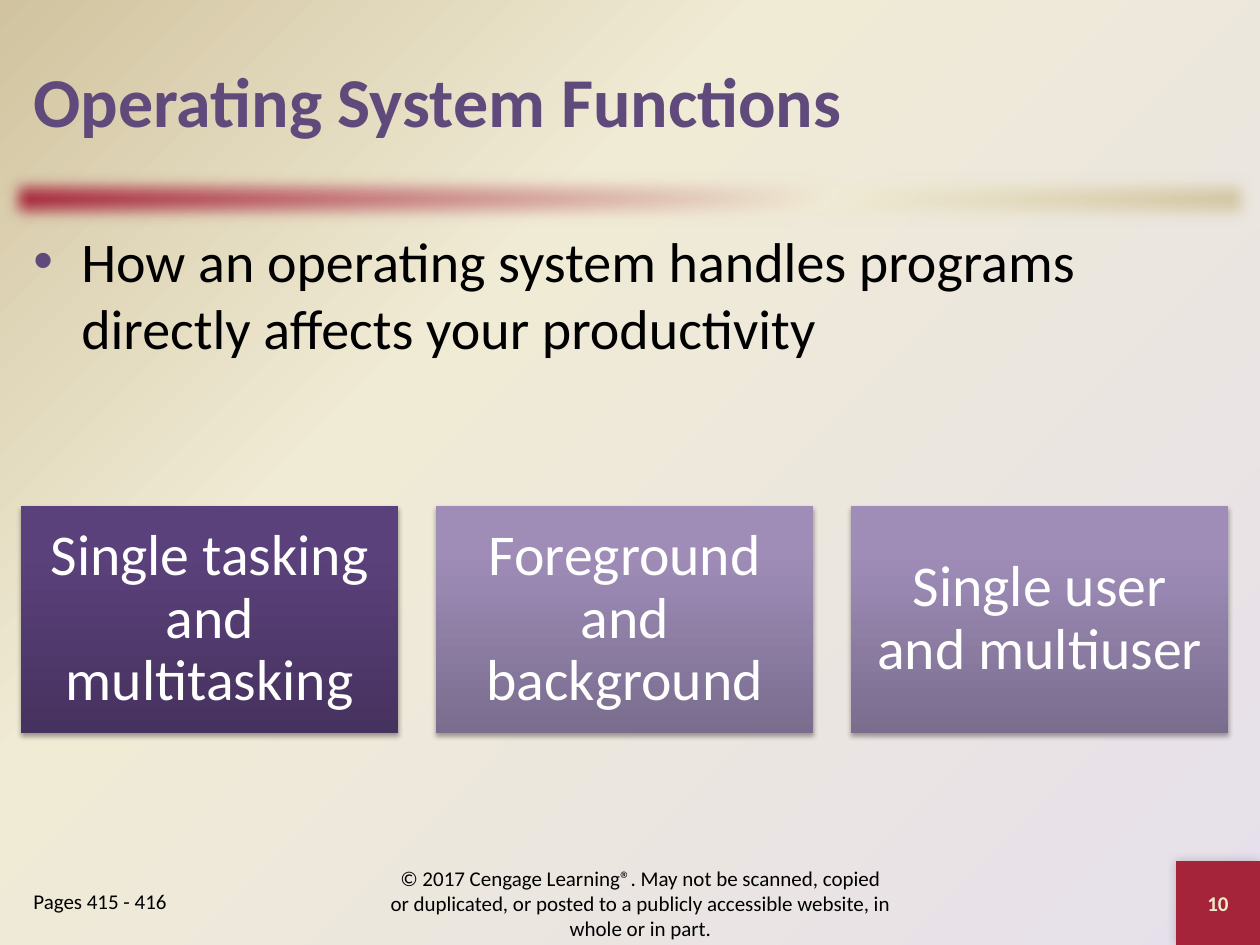
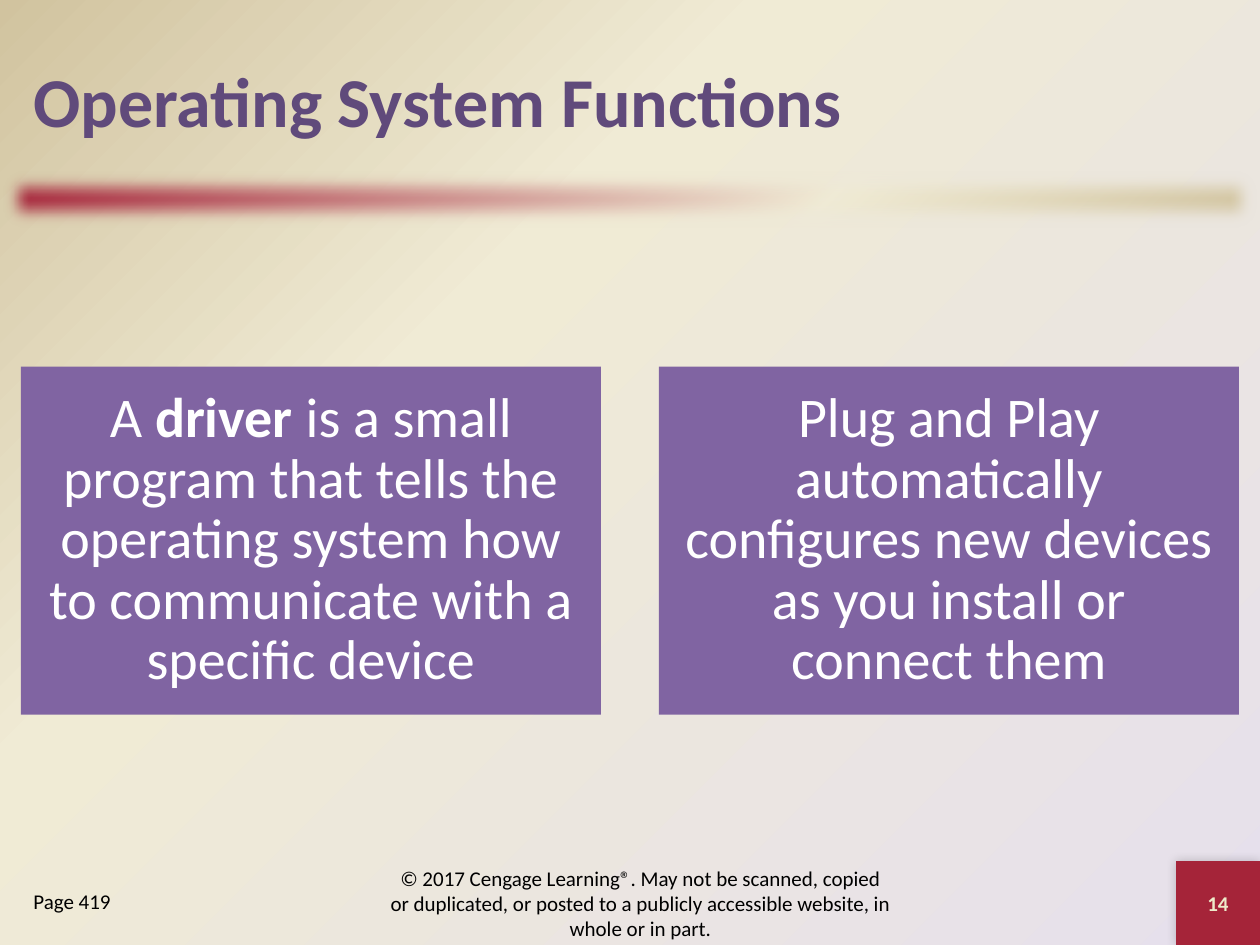
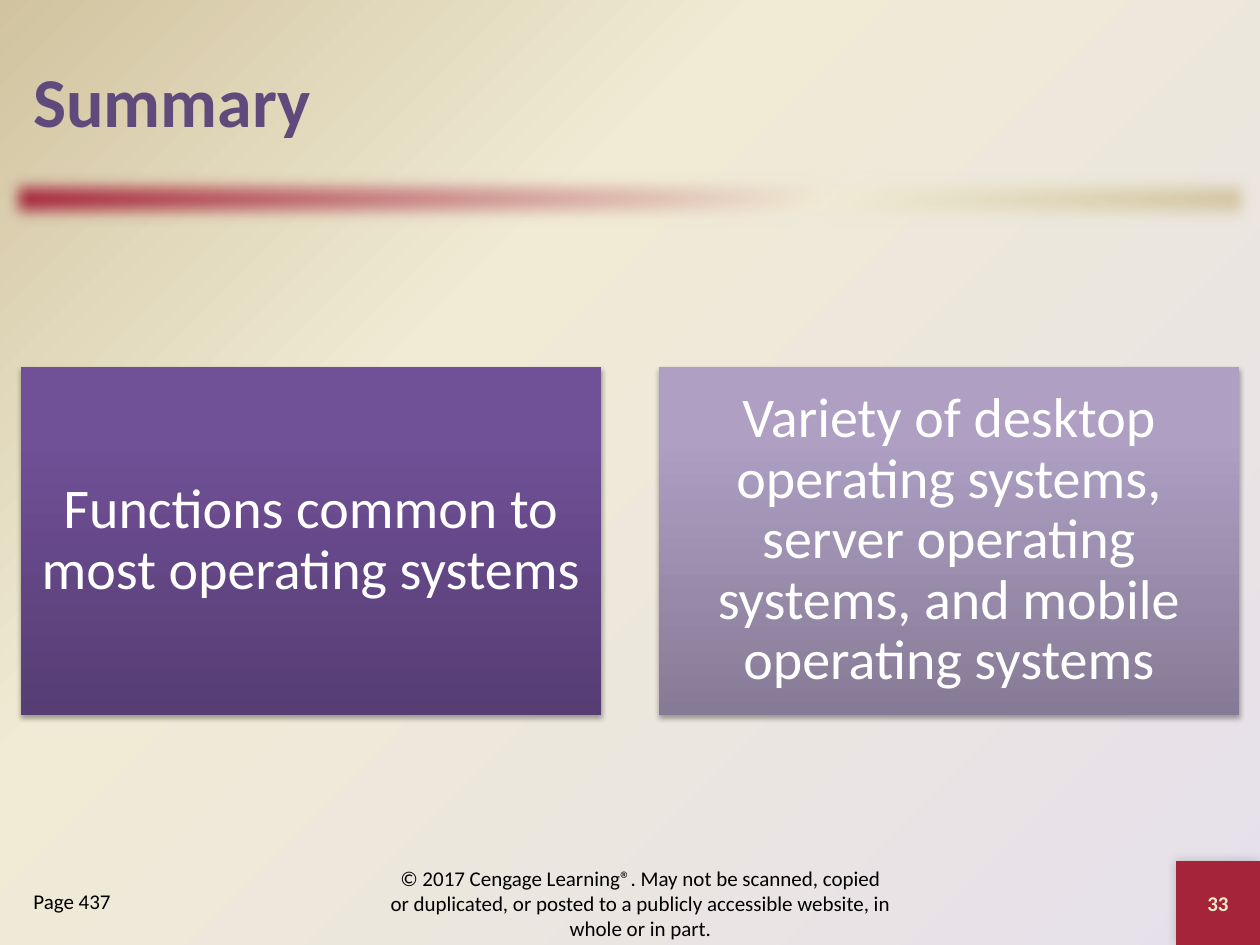
from collections import namedtuple

from lxml.etree import SubElement
from pptx import Presentation
from pptx.dml.color import RGBColor as RGB
from pptx.enum.shapes import MSO_SHAPE as SHAPE
from pptx.enum.text import MSO_ANCHOR as ANCHOR, PP_ALIGN as ALIGN
from pptx.oxml.ns import qn
from pptx.util import Inches, Pt

Box = namedtuple("Box", "x y w h")

COLS, ROWS = 60, 45
UNIT = Inches(10) / COLS
FONT = "Calibri"

BLACK = RGB(0x00, 0x00, 0x00)
WHITE = RGB(0xFF, 0xFF, 0xFF)
RED = RGB(0xA5, 0x24, 0x39)
CREAM = RGB(0xF0, 0xEB, 0xD5)
TAN = RGB(0xD1, 0xC3, 0x9F)
LILAC = RGB(0xE6, 0xE0, 0xEC)
PLUM = RGB(0x60, 0x4A, 0x7B)
VIOLET = RGB(0x80, 0x64, 0xA2)
NUMBER_INK = RGB(0xEE, 0xEB, 0xCA)

BAR_STOPS = (0, RED), (65, CREAM), (100, TAN)
PAGE_STOPS = (0, LILAC), (65, CREAM), (100, TAN)
DEEP = ((0, RGB(0x46, 0x32, 0x5F)), (80, RGB(0x5B, 0x41, 0x7B)),
        (100, RGB(0x5B, 0x40, 0x7C)))
SOFT = ((0, RGB(0x7A, 0x6D, 0x8E)), (80, RGB(0x9F, 0x8D, 0xB8)),
        (100, RGB(0x9F, 0x8D, 0xBA)))
BRIGHT = ((0, RGB(0x56, 0x3D, 0x74)), (80, RGB(0x70, 0x50, 0x97)),
          (100, RGB(0x70, 0x4F, 0x99)))
PALE = ((0, RGB(0x86, 0x7B, 0x96)), (80, RGB(0xAE, 0x9F, 0xC3)),
        (100, RGB(0xAE, 0x9F, 0xC4)))

TITLE = Box(1, 1, 58, 7.5)
BAR = Box(0, 8, COLS, 3)
BODY = Box(1, 10.5, 58, 30.5)
LOWER = Box(1, 22, 57.5, 15)
PAGES = Box(1, 42, 11, 3)
NOTICE = Box(18, 41.5, 25, 3)
NUMBER = Box(56, 41, 4, 4)

COPYRIGHT = ("© 2017 Cengage Learning®. May not be scanned, copied or duplicated, "
             "or posted to a publicly accessible website, in whole or in part.")


def emu(box):
    """Turn a box in grid units into slide lengths."""
    return [round(v * UNIT) for v in box]


def node(parent, tag, **attrs):
    """Add a drawing element with its attributes."""
    return SubElement(parent, qn("a:" + tag), {k: str(v) for k, v in attrs.items()})


def add_gradient(fill, root, stops, angle=None):
    """Fill with a linear gradient, or a corner one when no angle is given."""
    fill.background()
    grad = next(root.iter(qn("a:noFill")))
    grad.tag = qn("a:gradFill")
    grad.set("rotWithShape", "1")
    stop_list = node(grad, "gsLst")
    for pos, colour in stops:
        node(node(stop_list, "gs", pos=pos * 1000), "srgbClr", val=colour)
    if angle is None:
        path = node(grad, "path", path="circle")
        node(path, "fillToRect", l=100000, t=100000)
        node(grad, "tileRect", r=-100000, b=-100000)
    else:
        node(grad, "lin", ang=angle * 60000, scaled=0)


def add_shadow(sp, alpha, blur, dist, angle):
    """Give a shape an outer shadow."""
    effects = sp.element.spPr.find(qn("a:effectLst"))
    shadow = node(effects, "outerShdw", blurRad=Pt(blur), dist=Pt(dist),
                  dir=angle * 60000, algn="ctr", rotWithShape=0)
    node(node(shadow, "srgbClr", val=BLACK), "alpha", val=alpha * 1000)


def add_rect(slide, box, paint, angle=270):
    """Draw a rectangle painted with one colour or with gradient stops."""
    sp = slide.shapes.add_shape(SHAPE.RECTANGLE, *emu(box))
    sp.line.fill.background()
    sp.shadow.inherit = False
    if isinstance(paint, RGB):
        sp.fill.solid()
        sp.fill.fore_color.rgb = paint
    else:
        add_gradient(sp.fill, sp.element.spPr, paint, angle)
    return sp


def write(sp, text, size=12, color=BLACK, bold=False, align=ALIGN.LEFT,
          anchor=ANCHOR.MIDDLE, spacing=None, inset=None, bullet=None):
    """Write a string, or (string, bold) pairs, as one formatted paragraph."""
    tf = sp.text_frame
    tf.word_wrap = True
    tf.vertical_anchor = anchor
    if inset:
        tf.margin_left = tf.margin_right = Inches(inset)
        tf.margin_top = tf.margin_bottom = Inches(inset)
    p = tf.paragraphs[0]
    p.alignment = align
    if spacing:
        p.line_spacing = spacing
    if bullet:
        props = p._p.get_or_add_pPr()
        props.set("marL", str(Inches(0.38)))
        props.set("indent", str(-Inches(0.38)))
        node(node(props, "buClr"), "srgbClr", val=bullet)
        node(props, "buFont", typeface="Arial")
        node(props, "buChar", char="•")
    for part, heavy in [(text, bold)] if isinstance(text, str) else text:
        r = p.add_run()
        r.text = part
        r.font.name = FONT
        r.font.size = Pt(size)
        r.font.bold = heavy
        r.font.color.rgb = color


def add_text(slide, box, text, **style):
    """Place a text box."""
    write(slide.shapes.add_textbox(*emu(box)), text, **style)


def add_page(prs, title, pages, number):
    """Add a slide with its title, soft bar and footer."""
    slide = prs.slides.add_slide(prs.slide_layouts[6])
    bar = add_rect(slide, BAR, BAR_STOPS, 45)
    node(bar.element.spPr.find(qn("a:effectLst")), "softEdge", rad=Pt(10))
    add_text(slide, TITLE, title, size=40, color=PLUM, bold=True)
    add_text(slide, PAGES, pages, anchor=ANCHOR.TOP)
    add_text(slide, NOTICE, COPYRIGHT, align=ALIGN.CENTER)
    corner = add_rect(slide, NUMBER, RED)
    add_shadow(corner, 20, 6, 0, 225)
    write(corner, number, color=NUMBER_INK, bold=True, align=ALIGN.CENTER)
    return slide


def add_tiles(slide, box, tiles, size=32, inset=0.13):
    """Centre a row of 5:3 tiles in a box, with gaps of a tenth of a tile."""
    count = len(tiles)
    w = box.w / (count + 0.1 * (count - 1))
    h = 0.6 * w
    y = box.y + (box.h - h) / 2
    for i, (text, paint) in enumerate(tiles):
        tile = add_rect(slide, Box(box.x + i * 1.1 * w, y, w, h), paint)
        if not isinstance(paint, RGB):
            add_shadow(tile, 35, 3.1, 1.8, 90)
        write(tile, text, size=size, color=WHITE, align=ALIGN.CENTER,
              spacing=0.9, inset=inset)


def main():
    """Build the deck."""
    prs = Presentation()
    prs.slide_width, prs.slide_height = emu((COLS, ROWS))
    master = prs.slide_master
    add_gradient(master.background.fill, master.element, PAGE_STOPS)

    s = add_page(prs, "Operating System Functions", "Pages 415 - 416", "10")
    add_text(s, BODY, "How an operating system handles programs directly affects "
             "your productivity", size=32, anchor=ANCHOR.TOP, bullet=PLUM)
    add_tiles(s, LOWER, [("Single tasking and multitasking", DEEP),
                         ("Foreground and background", SOFT),
                         ("Single user and multiuser", SOFT)], size=33, inset=0.14)

    s = add_page(prs, "Operating System Functions", "Page 419", "14")
    driver = [("A ", False), ("driver", True),
              (" is a small program that tells the operating system how to "
               "communicate with a specific device", False)]
    add_tiles(s, BODY, [(driver, VIOLET),
                        ("Plug and Play automatically configures new devices as "
                         "you install or connect them", VIOLET)])

    s = add_page(prs, "Summary", "Page 437", "33")
    add_tiles(s, BODY, [("Functions common to most operating systems", BRIGHT),
                        ("Variety of desktop operating systems, server operating "
                         "systems, and mobile operating systems", PALE)])
    prs.save("out.pptx")


if __name__ == "__main__":
    main()
